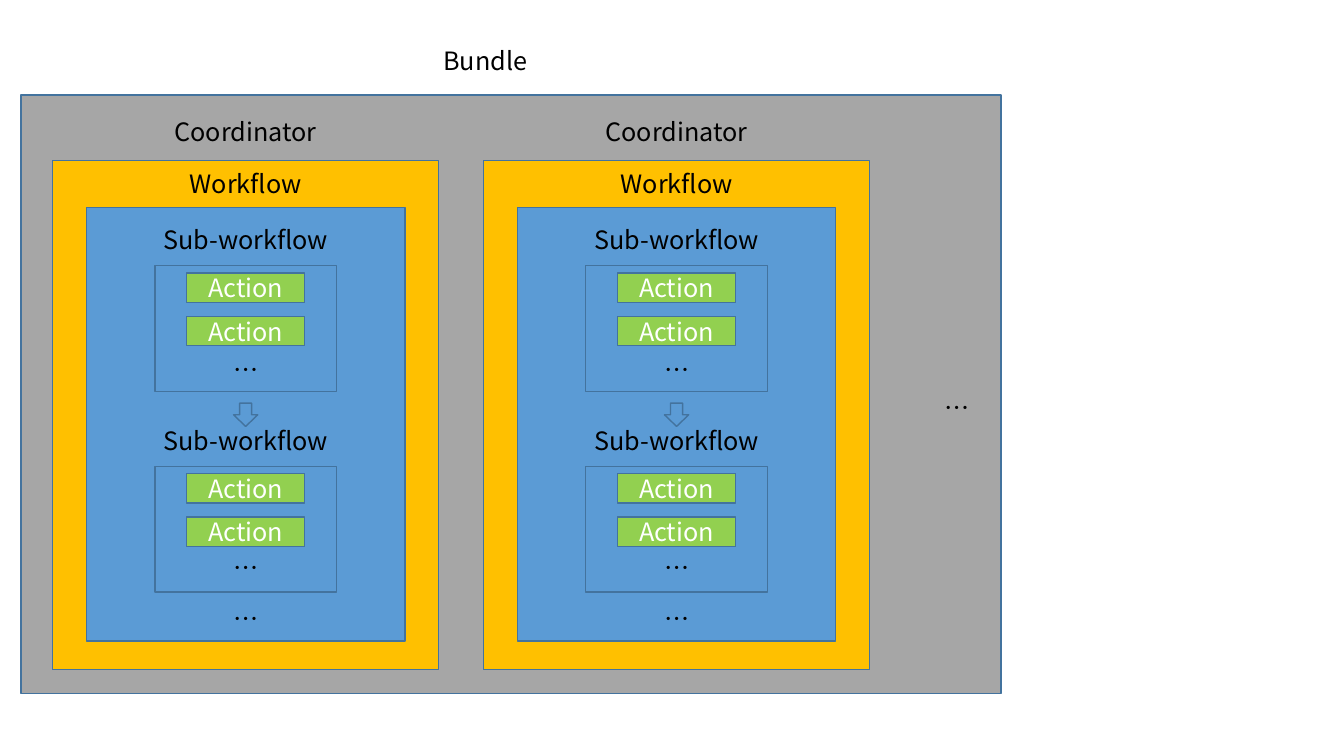
import pptx
import pptx.util
import pptx.dml.color
import pptx.enum.shapes
import pptx.enum.text

Pt = pptx.util.Pt
SHAPES = pptx.enum.shapes.MSO_SHAPE
ANCHOR = pptx.enum.text.MSO_ANCHOR
AUTO_SIZE = pptx.enum.text.MSO_AUTO_SIZE

BUNDLE = "Bundle"
COORDINATOR = "Coordinator"
WORKFLOW = "Workflow"
SUB_WORKFLOW = "Sub-workflow"
ACTIONS = ["Action", "Action"]
MORE = "…"

GRAY, AMBER, BLUE, GREEN = "A6A6A6", "FFC000", "5B9BD5", "92D050"
OUTLINE, BLACK, WHITE = "43739E", "000000", "FFFFFF"
FONT, FONT_SIZE = "Noto Sans CJK KR", 18

COORDINATOR_CENTERS = [175.5, 483.3]
SUB_WORKFLOWS = [  # label top, top of the dots below the actions
    (157, 249.8),
    (300.4, 391),
]
LABEL_HEIGHT = 29
DOTS_WIDTH = 84.2
ACTION_PITCH = 31


def rgb(color):
    return pptx.dml.color.RGBColor.from_string(color)


def write(shape, text, color=BLACK, anchor=ANCHOR.TOP, auto_size=AUTO_SIZE.NONE):
    frame = shape.text_frame
    frame.text = text
    frame.word_wrap = True
    frame.auto_size = auto_size
    frame.vertical_anchor = anchor
    paragraph = frame.paragraphs[0]
    paragraph.alignment = pptx.enum.text.PP_ALIGN.CENTER
    font = paragraph.runs[0].font
    font.name, font.size, font.color.rgb = FONT, Pt(FONT_SIZE), rgb(color)


def place(center, top, width, height):
    """Turn a horizontal centre into left, top, width, height."""
    return [Pt(v) for v in (center - width / 2, top, width, height)]


def add_block(center, top, width, height, fill, kind=SHAPES.RECTANGLE):
    block = slide.shapes.add_shape(kind, *place(center, top, width, height))
    block.shadow.inherit = False
    block.fill.solid()
    block.fill.fore_color.rgb = rgb(fill)
    block.line.color.rgb = rgb(OUTLINE)
    block.line.width = Pt(1)
    return block


def add_label(text, center, top, width=139):
    label = slide.shapes.add_textbox(*place(center, top, width, LABEL_HEIGHT))
    write(label, text, auto_size=AUTO_SIZE.SHAPE_TO_FIT_TEXT)


def add_sub_workflow(center, top, dots_top):
    add_block(center, top + 32.6, 129.8, 90, BLUE)
    add_label(SUB_WORKFLOW, center, top)
    for row, name in enumerate(ACTIONS):
        action = add_block(center, top + 38 + row * ACTION_PITCH, DOTS_WIDTH, 21, GREEN)
        write(action, name, color=WHITE, anchor=ANCHOR.MIDDLE)
    add_label(MORE, center, dots_top, DOTS_WIDTH)


def add_coordinator(center):
    add_block(center, 114.5, 275.6, 363.6, AMBER)
    add_label(COORDINATOR, center, 79.2)
    add_block(center, 148.3, 227.5, 309.6, BLUE)
    add_label(WORKFLOW, center, 116.6)
    for top, dots_top in SUB_WORKFLOWS:
        add_sub_workflow(center, top, dots_top)
    add_block(center, 288, 17.3, 16.6, BLUE, SHAPES.DOWN_ARROW)
    add_label(MORE, center, 427.7, DOTS_WIDTH)


deck = pptx.Presentation()
deck.slide_width, deck.slide_height = Pt(960), Pt(540)
slide = deck.slides.add_slide(deck.slide_layouts[5])

title = slide.shapes.title
title.left, title.top, title.width, title.height = place(346.7, 28.8, 116, LABEL_HEIGHT)
write(title, BUNDLE)

add_block(365, 67.9, 699.8, 427.5, GRAY)
add_label(MORE, 683.6, 276.5, DOTS_WIDTH)
for center in COORDINATOR_CENTERS:
    add_coordinator(center)

deck.save("out.pptx")
